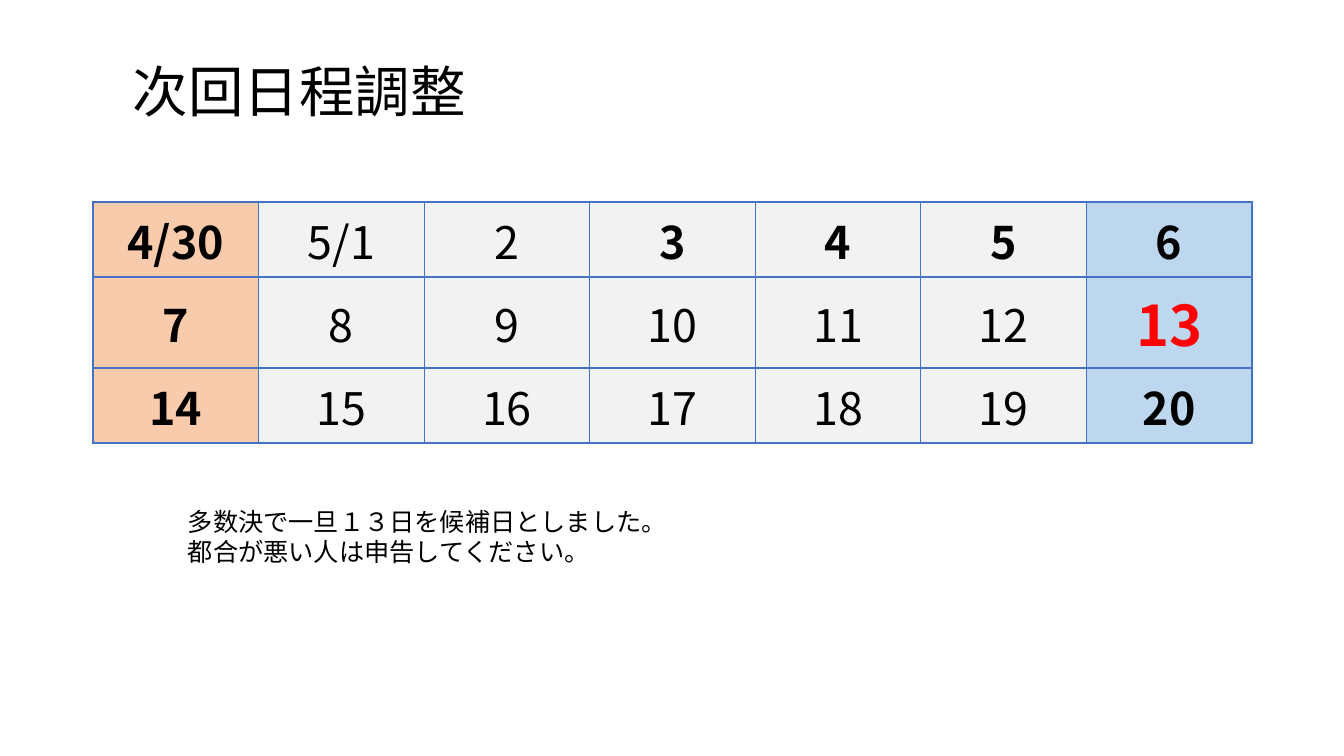
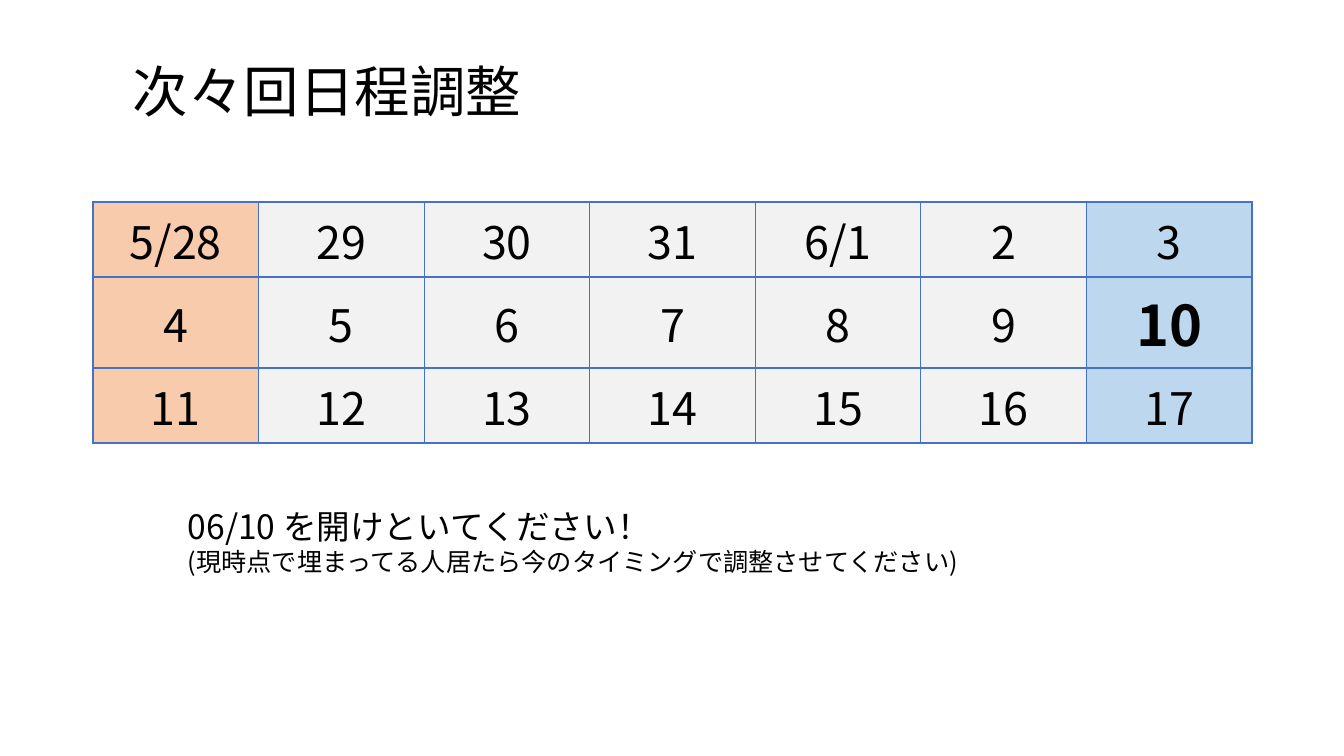
from lxml.etree import SubElement
from pptx import Presentation
from pptx.dml.color import RGBColor
from pptx.enum.text import MSO_ANCHOR as Anchor, PP_ALIGN as Align
from pptx.oxml import parse_xml
from pptx.oxml.ns import nsdecls, qn
from pptx.util import Emu, Pt

# Shared style
COLORS = {
    "text": "000000", "chosen": "FF0000", "border": "4472C4",
    "sunday": "F8CBAD", "weekday": "F2F2F2", "saturday": "BDD7EE",
}
FONT = "Noto Sans CJK JP"
SCALE = 914400 / 100.8
DAY_FILLS = ["sunday"] + ["weekday"] * 5 + ["saturday"]
ROW_HEIGHTS = [75, 91, 75]
DAY_SIZE, CHOSEN_SIZE = 32, 40

# Content of each slide
SCHEDULES = [
    {
        "title": "次回日程調整",
        "weeks": ["4/30 5/1 2 3 4 5 6", "7 8 9 10 11 12 13", "14 15 16 17 18 19 20"],
        "bold": {"4/30", "3", "4", "5", "6", "7", "13", "14", "20"},
        "chosen": "13", "chosen_color": "chosen",
        "notes": [("多数決で一旦１３日を候補日としました。", 18),
                  ("都合が悪い人は申告してください。", 18)],
        "notes_height": 163,
    },
    {
        "title": "次々回日程調整",
        "weeks": ["5/28 29 30 31 6/1 2 3", "4 5 6 7 8 9 10", "11 12 13 14 15 16 17"],
        "bold": {"10"},
        "chosen": "10", "chosen_color": "text",
        "notes": [("06/10 を開けといてください！", 24),
                  ("(現時点で埋まってる人居たら今のタイミングで調整させてください)", 18)],
        "notes_height": 82,
    },
]


def px(*lengths):
    return [Emu(round(length * SCALE)) for length in lengths]


def write(para, text, size, color="text", bold=False):
    para.text = text
    font = para.runs[0].font
    font.name, font.size, font.bold = FONT, Pt(size), bold
    font.color.rgb = RGBColor.from_string(COLORS[color])
    SubElement(font._element, qn("a:ea")).set("typeface", FONT)


deck = Presentation()
deck.slide_width, deck.slide_height = px(1344, 756)

for schedule in SCHEDULES:
    page = deck.slides.add_slide(deck.slide_layouts[6])

    # Title
    title = page.shapes.add_textbox(*px(123, 60, 1121, 70)).text_frame
    title.word_wrap = True
    title.vertical_anchor = Anchor.MIDDLE
    title.paragraphs[0].line_spacing = 0.9
    write(title.paragraphs[0], schedule["title"], 39.6)

    # Calendar
    calendar = page.shapes.add_table(3, 7, *px(93, 202, 1159, sum(ROW_HEIGHTS))).table
    for row, height in zip(calendar.rows, px(*ROW_HEIGHTS)):
        row.height = height
    for row, week in zip(calendar.rows, schedule["weeks"]):
        for cell, day, fill in zip(row.cells, week.split(), DAY_FILLS):
            chosen = day == schedule["chosen"]
            write(cell.text_frame.paragraphs[0], day,
                  CHOSEN_SIZE if chosen else DAY_SIZE,
                  schedule["chosen_color"] if chosen else "text",
                  day in schedule["bold"])
            cell.text_frame.paragraphs[0].alignment = Align.CENTER
            cell.vertical_anchor = Anchor.MIDDLE

            # Borders come before the fill in the cell properties
            properties = cell._tc.get_or_add_tcPr()
            for side in ("lnL", "lnR", "lnT", "lnB"):
                properties.append(parse_xml(
                    f'<a:{side} {nsdecls("a")} w="12700"><a:solidFill>'
                    f'<a:srgbClr val="{COLORS["border"]}"/></a:solidFill></a:{side}>'))
            cell.fill.solid()
            cell.fill.fore_color.rgb = RGBColor.from_string(COLORS[fill])

    # Notes under the calendar
    notes = page.shapes.add_textbox(*px(178, 501, 1025, schedule["notes_height"])).text_frame
    notes.word_wrap = True
    notes.add_paragraph()
    for para, (text, size) in zip(notes.paragraphs, schedule["notes"]):
        write(para, text, size)

deck.save("out.pptx")
